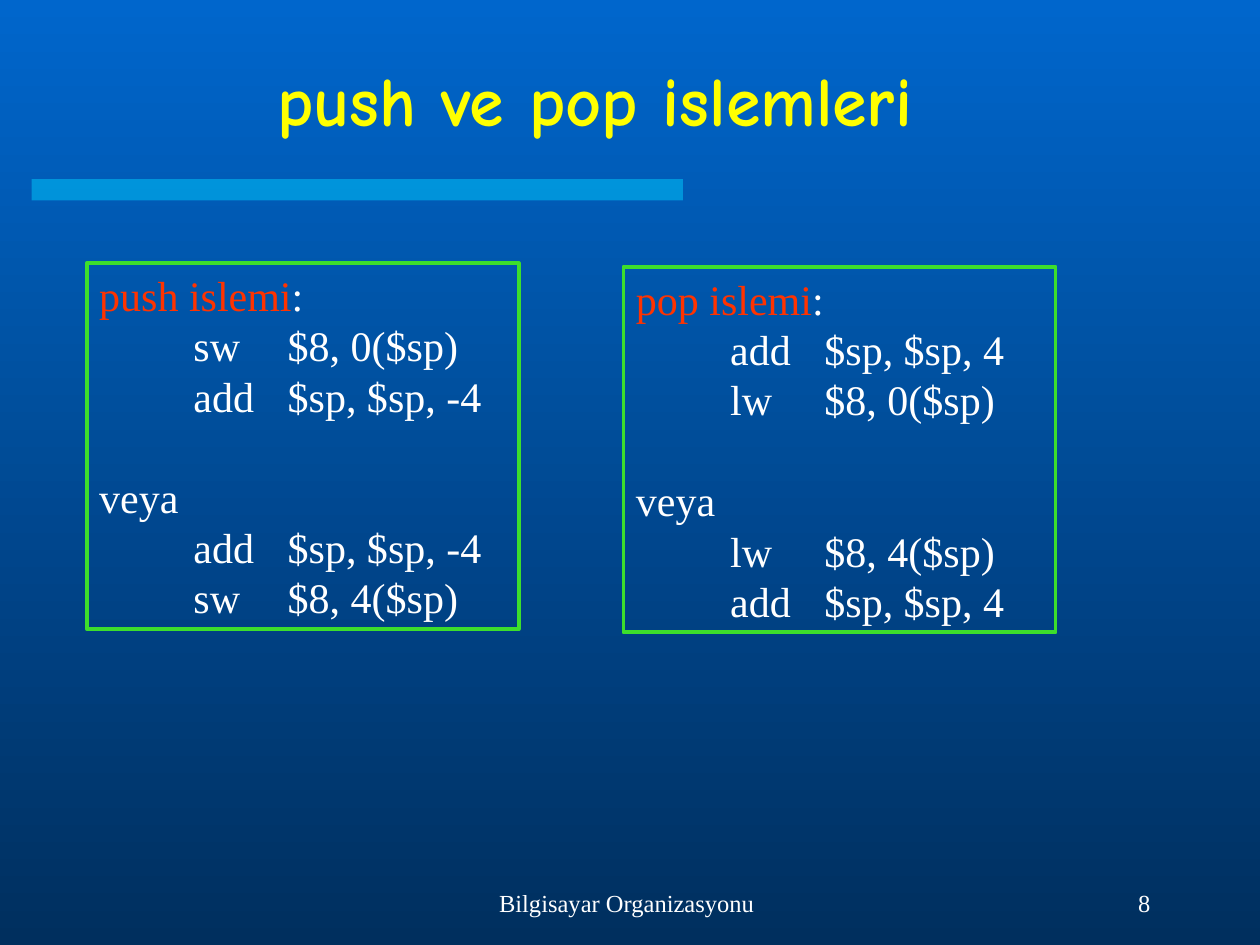
"""Build a slide on the push and pop stack operations."""
from lxml import etree
from pptx import Presentation
from pptx.dml.color import RGBColor
from pptx.enum import shapes, text
from pptx.oxml import ns
from pptx.util import Cm, Pt

SKY = RGBColor(0x00, 0x66, 0xCC)
NAVY = RGBColor(0x00, 0x2F, 0x5E)
CYAN = RGBColor(0x00, 0xCC, 0xFF)
YELLOW = RGBColor(0xFF, 0xFF, 0x00)
GREEN = RGBColor(0x3D, 0xDE, 0x2C)
RED = RGBColor(0xFF, 0x33, 0x00)
WHITE = RGBColor(0xFF, 0xFF, 0xFF)
SERIF = "Times New Roman"
LINE_HEIGHT = Pt(28.8)
TAB_STEP = Cm(1.9)


def style(run, size, color, font=SERIF, bold=False):
    """Format one run."""
    run.font.name = font
    run.font.size = Pt(size)
    run.font.bold = bold
    run.font.color.rgb = color


def paint_background(slide):
    """Fill the background with a vertical gradient."""
    fill = slide.background.fill
    fill.gradient()
    fill.gradient_angle = 270
    for stop, color in zip(fill.gradient_stops, (SKY, NAVY)):
        stop.color.rgb = color


def add_rectangle(slide, left, top, width, height):
    """Add a plain rectangle without a shadow."""
    rectangle = slide.shapes.add_shape(
        shapes.MSO_SHAPE.RECTANGLE, Cm(left), Cm(top), Cm(width), Cm(height))
    rectangle.shadow.inherit = False
    return rectangle


def add_rule(slide):
    """Add the half-transparent bar under the title."""
    rule = add_rectangle(slide, 0.64, 3.61, 13.13, 0.43)
    rule.fill.solid()
    rule.fill.fore_color.rgb = CYAN
    rule.line.fill.background()
    color = rule.fill._xPr.find(".//" + ns.qn("a:srgbClr"))
    etree.SubElement(color, ns.qn("a:alpha"), val="50000")


def set_title(slide, wording):
    """Place and format the title."""
    title = slide.shapes.title
    title.left, title.top, title.width, title.height = Cm(0.74), Cm(0.81), Cm(22.5), Cm(2.36)
    title.text_frame.text = wording
    title.text_frame.vertical_anchor = text.MSO_ANCHOR.MIDDLE
    heading = title.text_frame.paragraphs[0]
    heading.alignment = text.PP_ALIGN.CENTER
    style(heading.runs[0], 40, YELLOW, "Comic Neue", True)


def set_tabs(paragraph):
    """Give a code line its two tab stops."""
    tabs = etree.SubElement(paragraph._p.get_or_add_pPr(), ns.qn("a:tabLst"))
    for column in (1, 2):
        etree.SubElement(tabs, ns.qn("a:tab"), pos=str(column * TAB_STEP), algn="l")


def add_code_box(slide, left, top, operation, first, second):
    """Add a framed box with two alternative code sequences."""
    box = add_rectangle(slide, left, top, 8.71, 7.37)
    box.fill.background()
    box.line.color.rgb = GREEN
    box.line.width = Pt(2.25)
    frame = box.text_frame
    frame.word_wrap = True
    frame.auto_size = text.MSO_AUTO_SIZE.SHAPE_TO_FIT_TEXT
    frame.vertical_anchor = text.MSO_ANCHOR.TOP
    frame.text = "\n".join([operation, *first, "veya", *second])
    frame.paragraphs[0].add_run().text = ":"
    for line in frame.paragraphs:
        line.alignment = text.PP_ALIGN.LEFT
        line.line_spacing = LINE_HEIGHT
        if line.text == "veya":
            line.space_before = LINE_HEIGHT
        set_tabs(line)
        for run in line.runs:
            style(run, 24, RED if run.text == operation else WHITE)


def add_footer(slide, left, width, wording, alignment):
    """Add a small text at the foot of the slide."""
    footer = slide.shapes.add_textbox(Cm(left), Cm(17.78), Cm(width), Cm(1.27))
    footer.text_frame.word_wrap = True
    footer.text_frame.text = wording
    paragraph = footer.text_frame.paragraphs[0]
    paragraph.alignment = alignment
    style(paragraph.runs[0], 14, WHITE)


def main():
    """Build and save the slide."""
    deck = Presentation()
    deck.slide_width, deck.slide_height = Cm(25.4), Cm(19.05)
    slide = deck.slides.add_slide(deck.slide_layouts[5])
    paint_background(slide)
    add_rule(slide)
    set_title(slide, "push ve pop islemleri")
    add_code_box(slide, 1.75, 5.31, "push islemi",
                 ["\tsw\t$8, 0($sp)", "\tadd\t$sp, $sp, -4"],
                 ["\tadd\t$sp, $sp, -4", "\tsw\t$8, 4($sp)"])
    add_code_box(slide, 12.57, 5.38, "pop islemi",
                 ["\tadd\t$sp, $sp, 4", "\tlw\t$8, 0($sp)"],
                 ["\tlw\t$8, 4($sp)", "\tadd\t$sp, $sp, 4"])
    add_footer(slide, 8.61, 8.05, "Bilgisayar Organizasyonu", text.PP_ALIGN.CENTER)
    add_footer(slide, 18.16, 5.28, "8", text.PP_ALIGN.RIGHT)
    deck.save("out.pptx")


if __name__ == "__main__":
    main()
